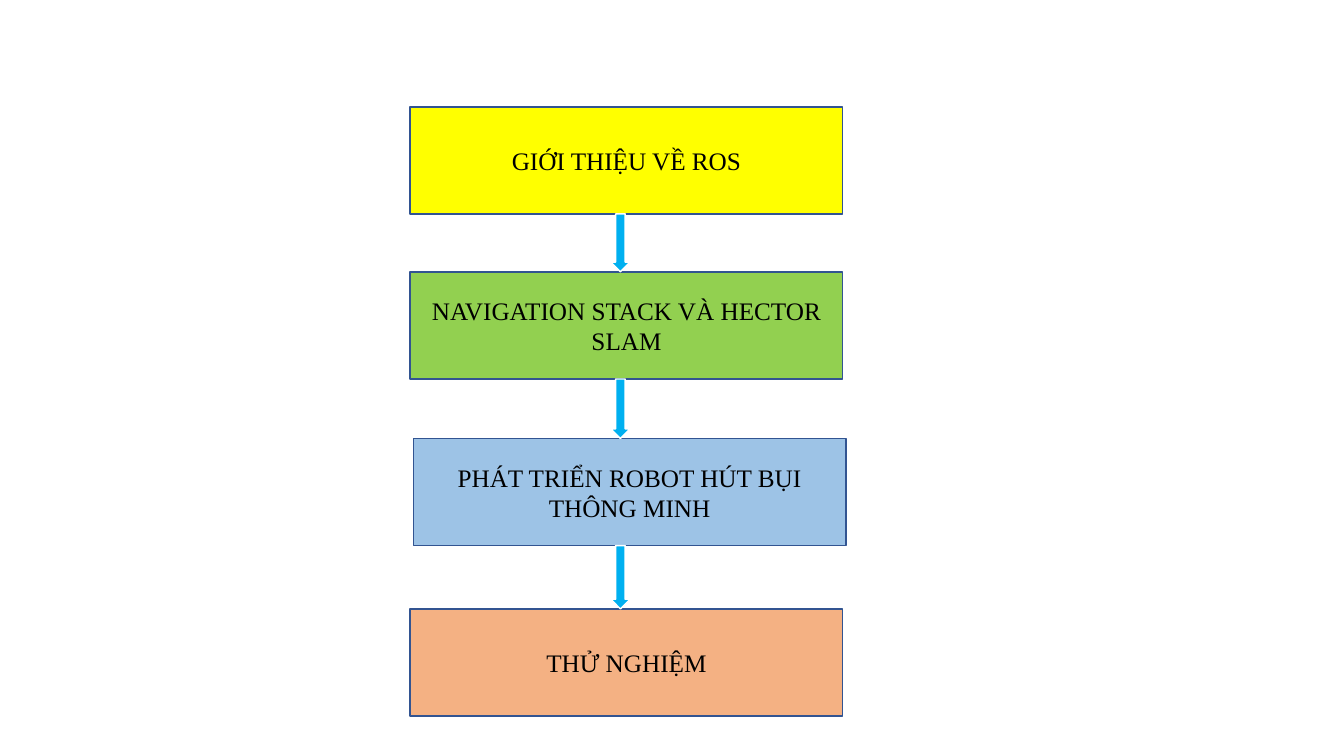
from dataclasses import dataclass
from itertools import pairwise

from pptx import Presentation
from pptx.dml.color import RGBColor
from pptx.enum.shapes import MSO_SHAPE
from pptx.enum.text import MSO_ANCHOR, PP_ALIGN
from pptx.shapes.autoshape import Shape
from pptx.slide import Slide
from pptx.util import Pt

RECTANGLE = MSO_SHAPE.RECTANGLE
DOWN_ARROW = MSO_SHAPE.DOWN_ARROW
MIDDLE = MSO_ANCHOR.MIDDLE
CENTER = PP_ALIGN.CENTER


@dataclass(frozen=True)
class Theme:
    font: str = "Times New Roman"
    text_size: float = 18
    line_width: float = 1
    text: str = "000000"
    box_line: str = "325491"
    arrow: str = "00B0F0"
    arrow_line: str = "FFFFFF"
    yellow: str = "FFFF00"
    green: str = "92D050"
    blue: str = "9DC3E6"
    orange: str = "F4B183"


@dataclass(frozen=True)
class Step:
    label: str
    fill: str
    top: float
    left: float = 293


THEME = Theme()
SLIDE_WIDTH, SLIDE_HEIGHT = 960, 540
BOX_WIDTH, BOX_HEIGHT = 309, 76.5
ARROW_LEFT, ARROW_WIDTH = 436.3, 13.7

STEPS = (
    Step("GIỚI THIỆU VỀ ROS", THEME.yellow, 76.3),
    Step("NAVIGATION STACK VÀ HECTOR SLAM", THEME.green, 194.2),
    Step("PHÁT TRIỂN ROBOT HÚT BỤI THÔNG MINH", THEME.blue, 313.2, 295.2),
    Step("THỬ NGHIỆM", THEME.orange, 434.9),
)


def add_block(page: Slide, kind: MSO_SHAPE, left: float, top: float,
              width: float, height: float, fill: str, line: str) -> Shape:
    block = page.shapes.add_shape(kind, Pt(left), Pt(top), Pt(width), Pt(height))
    block.shadow.inherit = False
    block.fill.solid()
    block.fill.fore_color.rgb = RGBColor.from_string(fill)
    block.line.color.rgb = RGBColor.from_string(line)
    block.line.width = Pt(THEME.line_width)
    return block


def add_step(page: Slide, step: Step) -> None:
    box = add_block(page, RECTANGLE, step.left, step.top,
                    BOX_WIDTH, BOX_HEIGHT, step.fill, THEME.box_line)
    frame = box.text_frame
    frame.word_wrap = True
    frame.vertical_anchor = MIDDLE
    para = frame.paragraphs[0]
    para.alignment = CENTER
    span = para.add_run()
    span.text = step.label
    span.font.name = THEME.font
    span.font.size = Pt(THEME.text_size)
    span.font.color.rgb = RGBColor.from_string(THEME.text)


def add_arrow(page: Slide, upper: Step, lower: Step) -> None:
    start = upper.top + BOX_HEIGHT
    add_block(page, DOWN_ARROW, ARROW_LEFT, start, ARROW_WIDTH,
              lower.top - start, THEME.arrow, THEME.arrow_line)


def main() -> None:
    deck = Presentation()
    deck.slide_width, deck.slide_height = Pt(SLIDE_WIDTH), Pt(SLIDE_HEIGHT)
    page = deck.slides.add_slide(deck.slide_layouts[6])
    for step in STEPS:
        add_step(page, step)
    for upper, lower in pairwise(STEPS):
        add_arrow(page, upper, lower)
    deck.save("out.pptx")


if __name__ == "__main__":
    main()
